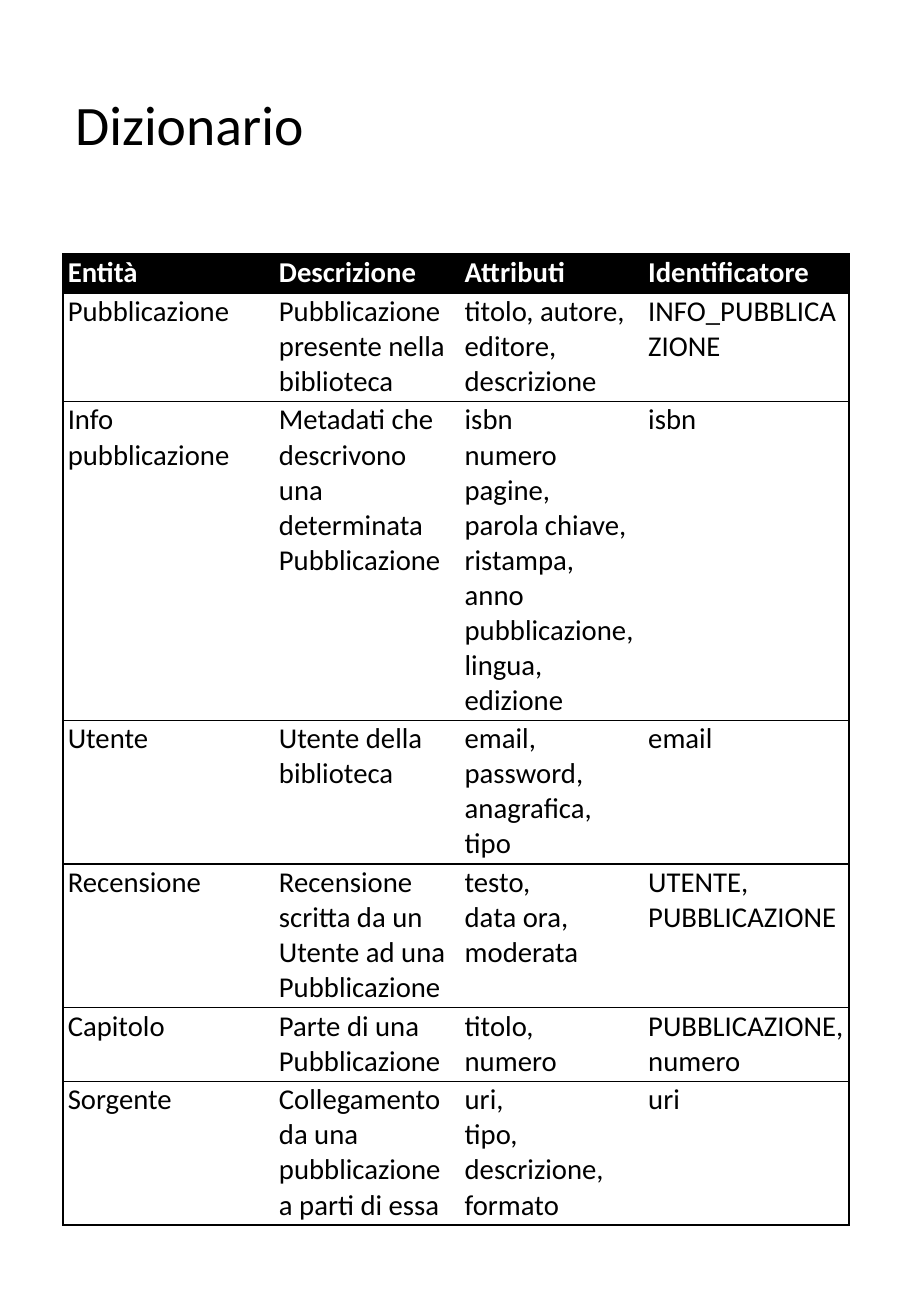
from lxml import etree
from pptx import Presentation
from pptx.dml.color import RGBColor
from pptx.enum import text
from pptx.oxml import ns
from pptx.util import Pt

TITLE = "Dizionario"
HEADER = ("Entità", "Descrizione", "Attributi", "Identificatore")
ENTITIES = [
    ("Pubblicazione", "Pubblicazione presente nella biblioteca",
     "titolo, autore, editore, descrizione", "INFO_PUBBLICAZIONE"),
    ("Info pubblicazione", "Metadati che descrivono una determinata Pubblicazione",
     "isbn\nnumero pagine,\nparola chiave, ristampa, anno pubblicazione,\nlingua, edizione", "isbn"),
    ("Utente", "Utente della biblioteca", "email, password, anagrafica, tipo", "email"),
    ("Recensione", "Recensione scritta da un Utente ad una Pubblicazione",
     "testo,\ndata ora,\nmoderata", "UTENTE, PUBBLICAZIONE"),
    ("Capitolo", "Parte di una Pubblicazione", "titolo,\nnumero", "PUBBLICAZIONE, numero"),
    ("Sorgente", "Collegamento da una pubblicazione a parti di essa",
     "uri,\ntipo,\ndescrizione,\nformato", "uri"),
]
LINES_PER_ROW = (1, 3, 9, 4, 4, 2, 4)
COLUMN_WIDTHS = (125.2, 110.1, 108.8, 121.9)
COLORS = {"ink": "000000", "paper": "FFFFFF"}
FONT = "Calibri"
LEFT, TABLE_TOP = 37.4, 150.6
LINE_HEIGHT, ROW_PADDING = 20.75, 2.2


def color(name):
    return RGBColor.from_string(COLORS[name])


def style(p, size, name, bold=False):
    p.font.name, p.font.size, p.font.bold = FONT, Pt(size), bold
    p.font.color.rgb = color(name)


def add_border(cell, side, visible):
    tc_pr = cell._tc.get_or_add_tcPr()
    ln = etree.SubElement(tc_pr, ns.qn(f"a:ln{side}"), w=str(Pt(1)))
    if visible:
        fill = etree.SubElement(ln, ns.qn("a:solidFill"))
        etree.SubElement(fill, ns.qn("a:srgbClr"), val=COLORS["ink"])
    else:
        etree.SubElement(ln, ns.qn("a:noFill"))


def add_title(slide, width):
    sp = slide.shapes.add_textbox(Pt(LEFT), Pt(0), Pt(width), Pt(TABLE_TOP))
    tf = sp.text_frame
    tf.word_wrap = True
    tf.vertical_anchor = text.MSO_ANCHOR.MIDDLE
    p = tf.paragraphs[0]
    p.text = TITLE
    p.line_spacing = 0.9
    style(p, 33, "ink")


def fill_cell(cell, content, is_header, is_first, is_last):
    cell.margin_left = cell.margin_right = Pt(2.8)
    cell.margin_top = cell.margin_bottom = Pt(0.7)
    cell.text = content
    for p in cell.text_frame.paragraphs:
        style(p, 17, "paper" if is_header else "ink", is_header)
    for side, visible in (("L", is_first), ("R", is_last), ("T", True), ("B", True)):
        add_border(cell, side, visible)
    cell.fill.solid()
    cell.fill.fore_color.rgb = color("ink" if is_header else "paper")


def add_dictionary(slide, width):
    rows = [HEADER] + ENTITIES
    heights = [n * LINE_HEIGHT + ROW_PADDING for n in LINES_PER_ROW]
    table = slide.shapes.add_table(len(rows), len(HEADER), Pt(LEFT), Pt(TABLE_TOP),
                                   Pt(width), Pt(sum(heights))).table
    table.horz_banding = False
    for column, column_width in zip(table.columns, COLUMN_WIDTHS):
        column.width = Pt(column_width)
    for i, (row, height) in enumerate(zip(rows, heights)):
        table.rows[i].height = Pt(height)
        for j, content in enumerate(row):
            fill_cell(table.cell(i, j), content, i == 0, j == 0, j == len(row) - 1)


def main():
    prs = Presentation()
    prs.slide_width, prs.slide_height = Pt(540), Pt(780)
    slide = prs.slides.add_slide(prs.slide_layouts[6])
    width = sum(COLUMN_WIDTHS)
    add_title(slide, width)
    add_dictionary(slide, width)
    prs.save("out.pptx")


if __name__ == "__main__":
    main()
